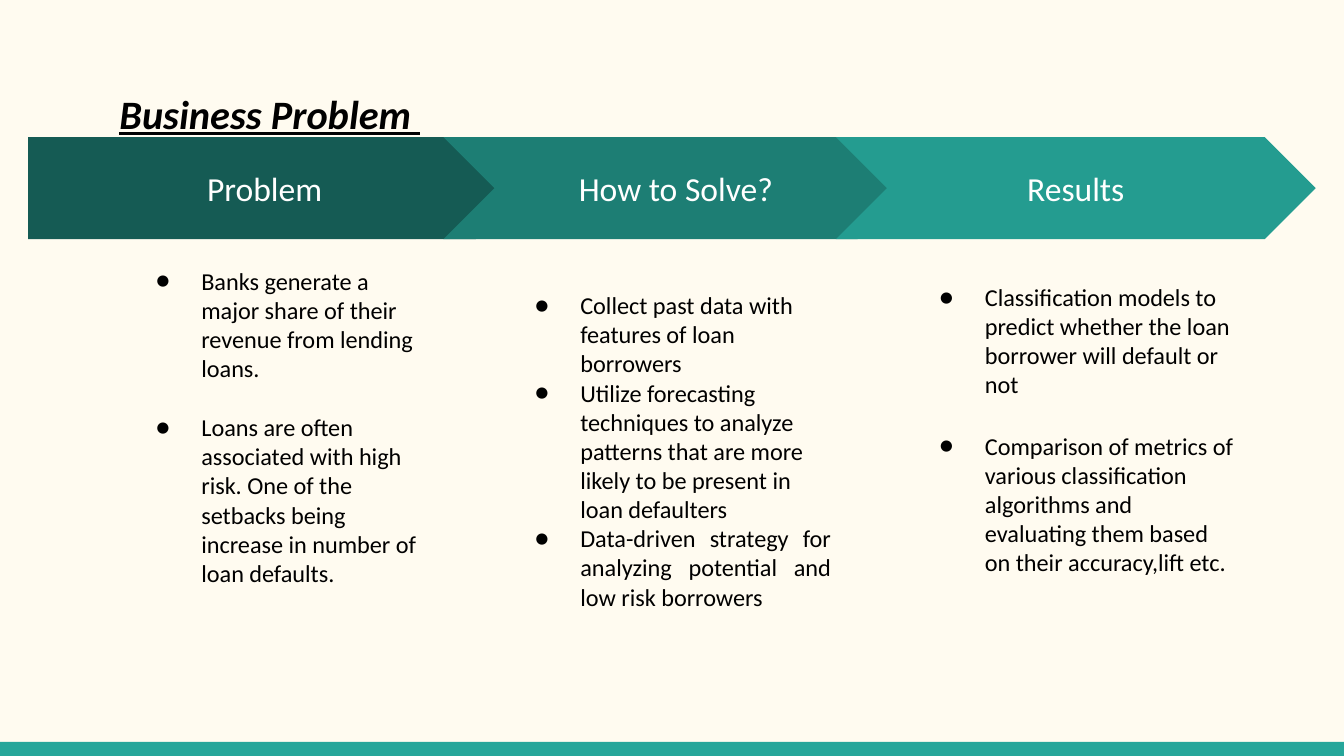
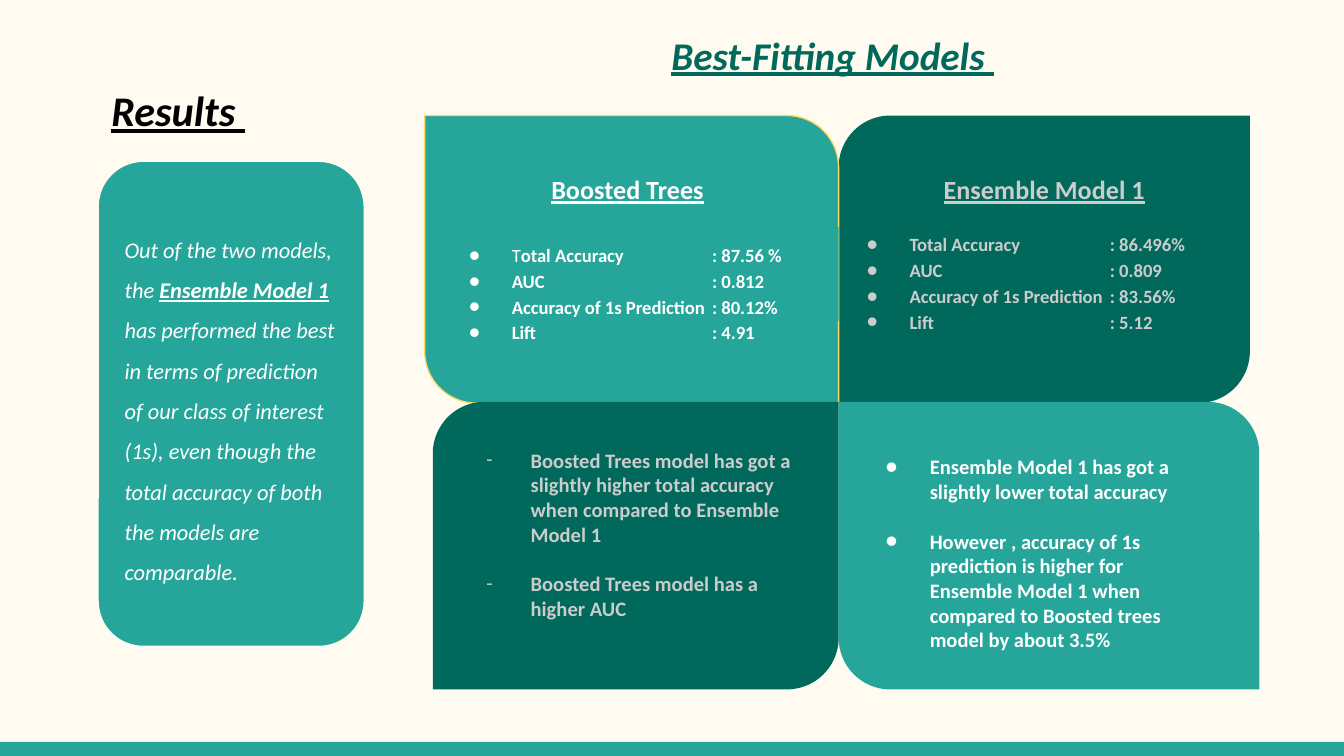
from lxml import etree
from pptx import Presentation
from pptx.dml.color import RGBColor
from pptx.enum import shapes, text
from pptx.oxml import ns
from pptx.util import Inches, Pt

FORM = shapes.MSO_SHAPE
ALIGN = text.PP_ALIGN
hue = RGBColor.from_string
CREAM, TEAL, DEEP = "FFFBF0", "26A69A", "00695C"
WHITE, GREY, BLACK = "FFFFFF", "CCCCCC", "000000"
TITLE = dict(bold=True, italic=True, under=True)


def draw(slide, form, place, fill=None, line=None, adj=()):
    shape = slide.shapes.add_shape(form, *map(Inches, place))
    shape.shadow.inherit = False
    for i, part in enumerate(adj):
        shape.adjustments[i] = part
    if fill:
        shape.fill.solid()
        shape.fill.fore_color.rgb = hue(fill)
    else:
        shape.fill.background()
    if line:
        shape.line.color.rgb = hue(line)
        shape.line.width = Pt(0.75)
    else:
        shape.line.fill.background()
    return shape


def write(shape, *paras, size, color=BLACK, bold=False, italic=False, under=False,
          align=ALIGN.LEFT, anchor=text.MSO_ANCHOR.TOP, lines=None, gap=0,
          left=0, hang=0, bullet=None, tab=None):
    frame = shape.text_frame
    frame.word_wrap = True
    frame.vertical_anchor = anchor
    frame.margin_left = frame.margin_right = Inches(0.1)
    frame.margin_top = frame.margin_bottom = Inches(0.1)
    for i, runs in enumerate(paras):
        para = frame.add_paragraph() if i else frame.paragraphs[0]
        para.alignment = align
        if lines:
            para.line_spacing = lines
        if i and gap:
            para.space_before = Pt(gap)
        props = para._p.get_or_add_pPr()
        props.set("marL", str(Inches(left)))
        props.set("indent", str(Inches(hang)))
        if bullet:
            tint = etree.SubElement(props, ns.qn("a:buClr"))
            etree.SubElement(tint, ns.qn("a:srgbClr"), val=color)
            etree.SubElement(props, ns.qn("a:buSzPts"), val=str(size * 100))
            etree.SubElement(props, ns.qn("a:buFont"), typeface="Calibri")
            etree.SubElement(props, ns.qn("a:buChar"), char=bullet)
        if tab:
            stops = etree.SubElement(props, ns.qn("a:tabLst"))
            etree.SubElement(stops, ns.qn("a:tab"), pos=str(Inches(tab)), algn="l")
        for words, style in [(runs, {})] if isinstance(runs, str) else runs:
            run = para.add_run()
            run.text = words
            font = run.font
            font.name = "Calibri"
            font.size = Pt(size)
            font.color.rgb = hue(color)
            font.bold = style.get("bold", bold)
            font.italic = italic
            font.underline = style.get("under", under)


deck = Presentation()
deck.slide_width, deck.slide_height = Inches(10), Inches(10 * 9 / 16)
pages = []
for name, place, form in [
    ("Business Problem ", (0.59, 0.14, 2.98, 0.6),
     dict(size=21.6, lines=2.18, left=0.38, hang=-0.18)),
    ("Results ", (0.73, 0.12, 1.51, 0.51), dict(size=22.6, lines=2.08)),
]:
    page = deck.slides.add_slide(deck.slide_layouts[6])
    page.background.fill.solid()
    page.background.fill.fore_color.rgb = hue(CREAM)
    draw(page, FORM.RECTANGLE, (0, 5.52, 10, 0.11), TEAL)
    write(page.shapes.add_textbox(*map(Inches, place)), name, **TITLE, **form)
    pages.append(page)
first, second = pages

steps = [
    ("Problem", FORM.PENTAGON, 0.21, 3.71, "155B54", (0.9, 1.88, 2.34, 3.3), 15.9, [
        "Banks generate a major share of their revenue from lending loans.",
        "Loans are often associated with high risk. One of the setbacks being "
        "increase in number of loan defaults."]),
    ("How to Solve?", FORM.CHEVRON, 3.3, 3.46, "1D7E74", (3.72, 2.06, 2.56, 3.12), 0, [
        "Collect past data with features of loan borrowers",
        "Utilize forecasting techniques to analyze patterns that are more likely "
        "to be present in loan defaulters",
        "Data-driven strategy for analyzing potential and low risk borrowers"]),
    ("Results", FORM.CHEVRON, 6.22, 3.57, "249C90", (6.73, 2, 2.55, 3.18), 17.1, [
        "Classification models to predict whether the loan borrower will default or not",
        "Comparison of metrics of various classification algorithms and evaluating "
        "them based on their accuracy,lift etc."]),
]
for name, form, x, wide, fill, place, gap, points in steps:
    arrow = draw(first, form, (x, 1.02, wide, 0.76), fill, adj=[0.5])
    write(arrow, name, size=18, color=WHITE, align=ALIGN.CENTER,
          anchor=text.MSO_ANCHOR.MIDDLE)
    note = first.shapes.add_textbox(*map(Inches, place))
    write(note, *points, size=13, gap=gap, left=0.5, hang=-0.34, bullet="●")
    if name == "How to Solve?":
        note.text_frame.paragraphs[-1].alignment = ALIGN.JUSTIFY

models = [
    ("Ensemble Model 1", (6.24, 0.86, 3.06, 2.14), (6.63, 1.19, 2.28, 0.63),
     (6.17, 1.61, 2.93, 0.84), DEEP, GREY, None, (0.18, 0),
     ["Total Accuracy\t: 86.496%", "AUC\t: 0.809",
      "Accuracy of 1s Prediction\t: 83.56%", "Lift\t: 5.12"]),
    ("Boosted Trees", (3.16, 0.86, 3.08, 2.14), (3.52, 1.19, 2.3, 0.63),
     (3.21, 1.69, 3.03, 0.7), TEAL, WHITE, "FFD966", (0, 0.18),
     [[("T", dict(bold=False)), ("otal Accuracy\t: 87.56 %", {})], "AUC\t: 0.812",
      "Accuracy of 1s Prediction\t: 80.12%", "Lift\t: 4.91"]),
]
for name, card, head, body, fill, ink, line, adj, facts in models:
    draw(second, FORM.ROUND_2_DIAG_RECTANGLE, card, fill, line, adj)
    write(draw(second, FORM.RECTANGLE, head, fill), name, size=14, color=ink,
          bold=True, under=True, align=ALIGN.CENTER)
    write(draw(second, FORM.RECTANGLE, body, fill), *facts, size=10, color=ink,
          bold=True, lines=1.15, left=0.5, hang=-0.32, bullet="●", tab=1.99)

notes = [
    ((3.22, 2.99, 3.02, 2.14), (3.35, 3.23, 2.71, 1.49), DEEP, GREY, (0.18, 0), "-", [
        "Boosted Trees model has got a slightly higher total accuracy when "
        "compared to Ensemble Model 1",
        "Boosted Trees model has a higher AUC"]),
    ((6.24, 2.99, 3.13, 2.14), (6.32, 3.28, 2.74, 1.67), TEAL, WHITE, (0, 0.18), "●", [
        "Ensemble Model 1 has got a slightly lower total accuracy",
        "However , accuracy of 1s prediction is higher for Ensemble Model 1 when "
        "compared to Boosted trees model by about 3.5%"]),
]
for card, body, fill, ink, adj, mark, points in notes:
    draw(second, FORM.ROUND_2_DIAG_RECTANGLE, card, fill, adj=adj)
    write(draw(second, FORM.RECTANGLE, body, fill), *points, size=11, color=ink,
          bold=True, gap=13.4, left=0.5, hang=-0.33, bullet=mark)

write(draw(second, FORM.FLOWCHART_TERMINATOR, (3.72, 0.12, 4.95, 0.57)),
      "Best-Fitting Models ", size=21, color=DEEP, align=ALIGN.CENTER,
      anchor=text.MSO_ANCHOR.MIDDLE, **TITLE)
panel = draw(second, FORM.ROUNDED_RECTANGLE, (0.73, 1.2, 1.98, 3.61), TEAL, CREAM, [0.17])
write(panel, [
    ("Out of the two models, the ", {}),
    ("Ensemble Model 1", dict(bold=True, under=True)),
    (" has performed the best in terms of prediction of our class of interest (1s), "
     "even though the total accuracy of both the models are comparable.", {}),
], size=12, color=WHITE, italic=True, lines=1.5, anchor=text.MSO_ANCHOR.MIDDLE)

deck.save("out.pptx")
